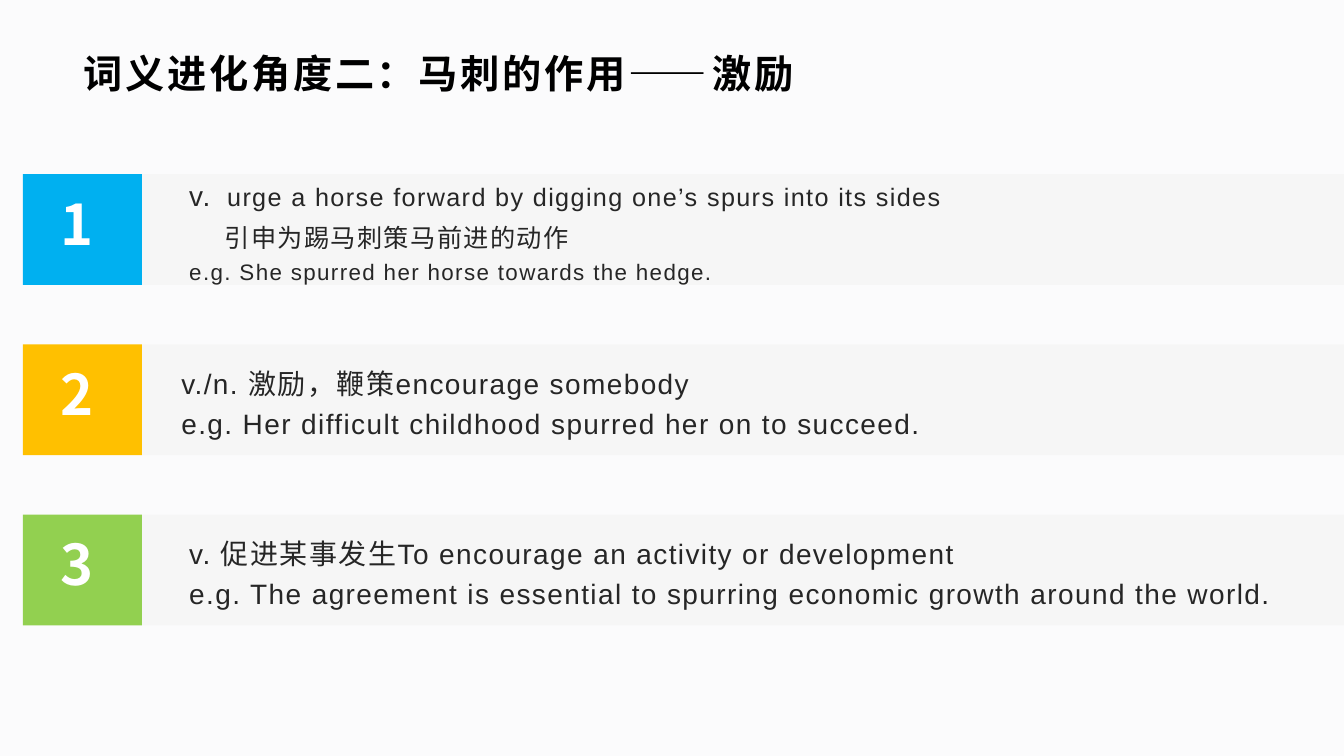
import pptx
import pptx.dml.color
import pptx.enum.shapes
import pptx.enum.text
import pptx.oxml
import pptx.oxml.ns
import pptx.util
from pptx.dml.color import RGBColor
from pptx.util import Cm

BACKGROUND = RGBColor(0xFB, 0xFB, 0xFC)
BLACK = RGBColor(0x00, 0x00, 0x00)
WHITE = RGBColor(0xFF, 0xFF, 0xFF)
TEXT = RGBColor(0x26, 0x26, 0x26)
BAND = RGBColor(0xF2, 0xF2, 0xF2)
BLUE = RGBColor(0x00, 0xB0, 0xF0)
AMBER = RGBColor(0xFF, 0xC0, 0x00)
GREEN = RGBColor(0x92, 0xD0, 0x50)
LATIN_FONT = "Arial"
CHINESE_FONT = "Noto Sans CJK SC"

SLIDE_WIDTH = 33.87
ROW_TOP, ROW_PITCH, ROW_HEIGHT = 4.39, 4.29, 2.79
TILE_LEFT, TILE_WIDTH = 0.58, 3.0
BAND_LEFT = TILE_LEFT + TILE_WIDTH
TEXT_WIDTH, TEXT_HEIGHT = 29.35, 3.58


def add_span(para, text, size, color, font=LATIN_FONT, bold=False, spacing=0):
    """Add one run; size and letter spacing are in points."""
    span = para.add_run()
    span.text = text
    span.font.size = pptx.util.Pt(size)
    span.font.bold = bold
    span.font.color.rgb = color
    span.font.name = font
    properties = span.font._element
    properties.set("spc", str(spacing * 100))
    east_asian = pptx.oxml.parse_xml(
        f'<a:ea {pptx.oxml.ns.nsdecls("a")} typeface="{CHINESE_FONT}"/>')
    properties.find(pptx.oxml.ns.qn("a:latin")).addnext(east_asian)


def add_rectangle(page, left, top, width, color):
    box = page.shapes.add_shape(
        pptx.enum.shapes.MSO_SHAPE.RECTANGLE,
        Cm(left), Cm(top), Cm(width), Cm(ROW_HEIGHT))
    box.shadow.inherit = False
    box.fill.solid()
    box.fill.fore_color.rgb = color
    box.line.fill.background()
    return box


deck = pptx.Presentation()
deck.slide_width = Cm(SLIDE_WIDTH)
deck.slide_height = Cm(19.05)
page = deck.slides.add_slide(deck.slide_layouts.get_by_name("Title Only"))
page.background.fill.solid()
page.background.fill.fore_color.rgb = BACKGROUND

title = page.shapes.title
title.left, title.top, title.width, title.height = Cm(1.85), Cm(1.22), Cm(30.15), Cm(1.22)
title.text_frame.auto_size = pptx.enum.text.MSO_AUTO_SIZE.NONE
title.text_frame.vertical_anchor = pptx.enum.text.MSO_ANCHOR.MIDDLE
heading = title.text_frame.paragraphs[0]
heading.alignment = pptx.enum.text.PP_ALIGN.LEFT
add_span(heading, "词义进化角度二：马刺的作用——激励", 28, BLACK, bold=True, spacing=2)

# Each sense: tile colour, text left, text shift from the row centre,
# and paragraphs as (indent, [(text, size), ...])
senses = [
    (BLUE, 4.52, -0.39, [
        (0, [("v.", 20), (" ", 36),
             ("urge a horse forward by digging one’s spurs into its sides", 18)]),
        (0.89, [("引申为踢马刺策马前进的动作", 18)]),
        (0, [("e.g. She spurred her horse towards the hedge.", 16)]),
    ]),
    (AMBER, 4.32, 0, [
        (0, [("v./n. 激励，鞭策encourage somebody", 20)]),
        (0, [("e.g. Her difficult childhood spurred her on to succeed.", 20)]),
    ]),
    (GREEN, 4.52, 0, [
        (0, [("v. 促进某事发生To encourage an activity or development", 20)]),
        (0, [("e.g. The agreement is essential to spurring economic growth "
              "around the world.", 20)]),
    ]),
]

for index, (color, text_left, shift, paragraphs) in enumerate(senses):
    top = ROW_TOP + index * ROW_PITCH
    add_rectangle(page, TILE_LEFT, top, TILE_WIDTH, color)
    band = add_rectangle(page, BAND_LEFT, top, SLIDE_WIDTH - BAND_LEFT, BAND)
    band_color = band.fill._xPr.find(".//" + pptx.oxml.ns.qn("a:srgbClr"))
    band_color.append(pptx.oxml.parse_xml(
        f'<a:alpha {pptx.oxml.ns.nsdecls("a")} val="50000"/>'))

    number = page.shapes.add_textbox(Cm(1.27), Cm(top + 0.26), Cm(1.6), Cm(1.96))
    number.text_frame.word_wrap = True
    add_span(number.text_frame.paragraphs[0], str(index + 1), 40, WHITE,
             font=CHINESE_FONT, bold=True)

    text_top = top + (ROW_HEIGHT - TEXT_HEIGHT) / 2 + shift
    meaning = page.shapes.add_textbox(
        Cm(text_left), Cm(text_top), Cm(TEXT_WIDTH), Cm(TEXT_HEIGHT))
    frame = meaning.text_frame
    frame.word_wrap = True
    frame.vertical_anchor = pptx.enum.text.MSO_ANCHOR.MIDDLE
    for position, (indent, spans) in enumerate(paragraphs):
        para = frame.add_paragraph() if position else frame.paragraphs[0]
        para.line_spacing = 1.2
        if indent:
            para._p.get_or_add_pPr().set("marL", str(Cm(indent)))
        for text, size in spans:
            add_span(para, text, size, TEXT, spacing=1)

deck.save("out.pptx")
